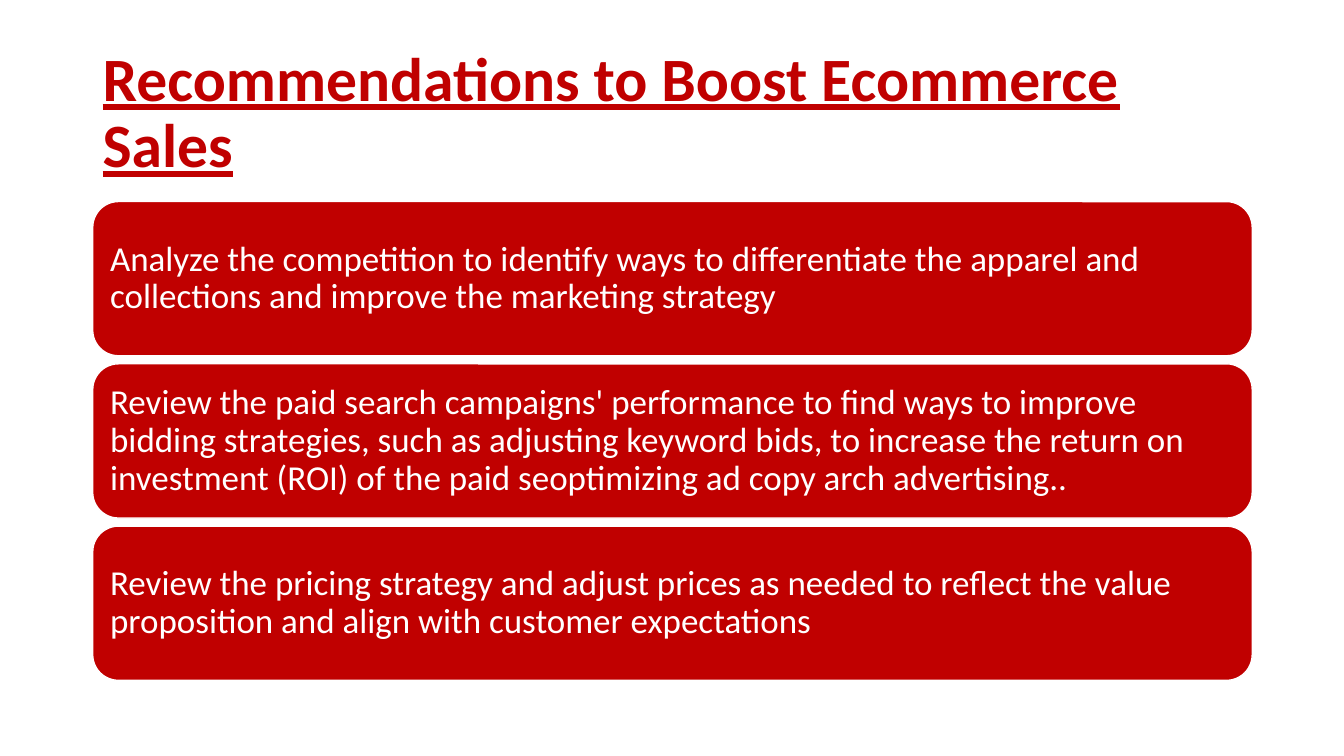
from pptx import Presentation
from pptx.dml.color import RGBColor
from pptx.enum.shapes import MSO_SHAPE
from pptx.enum.text import MSO_ANCHOR, PP_ALIGN
from pptx.util import Inches, Pt

HEADING = "Recommendations to Boost Ecommerce Sales"
RECOMMENDATIONS = [
    "Analyze the competition to identify ways to differentiate the apparel and "
    "collections and improve the marketing strategy",
    "Review the paid search campaigns' performance to find ways to improve bidding "
    "strategies, such as adjusting keyword bids, to increase the return on investment "
    "(ROI) of the paid seoptimizing ad copy arch advertising..",
    "Review the pricing strategy and adjust prices as needed to reflect the value "
    "proposition and align with customer expectations",
]

RED = RGBColor(0xC0, 0x00, 0x00)
WHITE = RGBColor(0xFF, 0xFF, 0xFF)

LEFT, WIDTH = 0.92, 11.5
HEADING_TOP, HEADING_HEIGHT = 0.42, 1.43
CARD_TOP, CARD_HEIGHT, CARD_PITCH = 2, 1.53, 1.61
INSET = Inches(0.1)


def write(holder, text, size, color):
    frame = holder.text_frame
    frame.word_wrap = True
    frame.vertical_anchor = MSO_ANCHOR.MIDDLE
    frame.margin_left = frame.margin_right = INSET
    frame.margin_top = frame.margin_bottom = Inches(0.05)
    paragraph = frame.paragraphs[0]
    paragraph.text = text
    paragraph.alignment = PP_ALIGN.LEFT
    paragraph.line_spacing = 0.9
    paragraph.font.name = "Calibri"
    paragraph.font.size = Pt(size)
    paragraph.font.color.rgb = color
    return paragraph


presentation = Presentation()
presentation.slide_width = Inches(13.33)
presentation.slide_height = Inches(7.5)
slide = presentation.slides.add_slide(presentation.slide_layouts[6])

heading = slide.shapes.add_textbox(
    Inches(LEFT), Inches(HEADING_TOP), Inches(WIDTH), Inches(HEADING_HEIGHT))
heading_line = write(heading, HEADING, 44, RED)
heading_line.font.bold = True
heading_line.font.underline = True

for row, recommendation in enumerate(RECOMMENDATIONS):
    card = slide.shapes.add_shape(
        MSO_SHAPE.ROUNDED_RECTANGLE, Inches(LEFT),
        Inches(CARD_TOP + row * CARD_PITCH), Inches(WIDTH), Inches(CARD_HEIGHT))
    card.shadow.inherit = False
    card.fill.solid()
    card.fill.fore_color.rgb = RED
    card.line.color.rgb = WHITE
    card.line.width = Pt(1)
    write(card, recommendation, 25, WHITE)

presentation.save("out.pptx")
